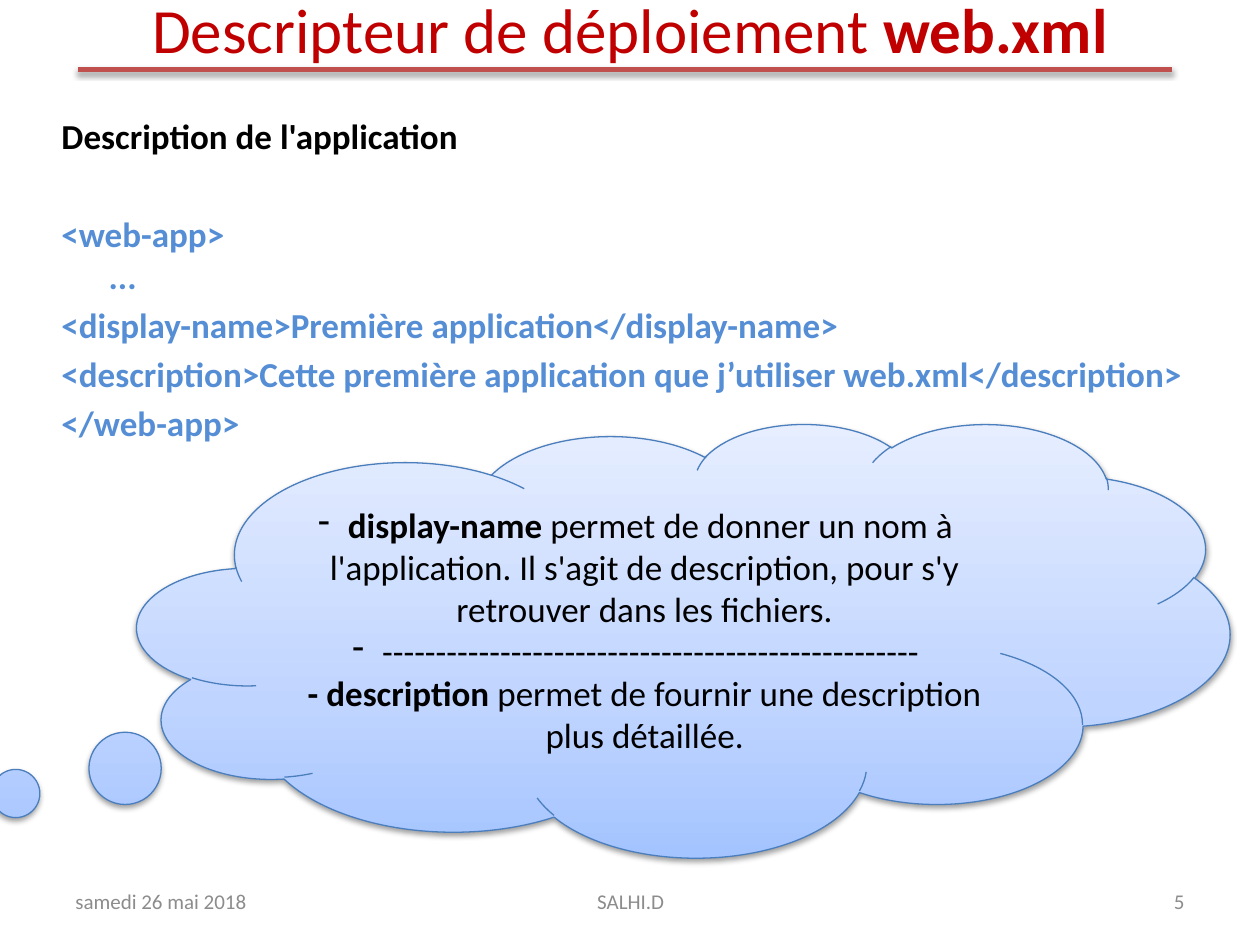
from copy import deepcopy
from dataclasses import dataclass

from lxml.etree import SubElement
from pptx import Presentation
from pptx.dml.color import RGBColor
from pptx.enum.shapes import MSO_CONNECTOR, MSO_SHAPE
from pptx.enum.text import MSO_ANCHOR, PP_ALIGN
from pptx.oxml.ns import qn
from pptx.util import Cm, Pt

FONT = "Calibri"
RED = RGBColor(0xC0, 0x00, 0x00)
RULE_RED = RGBColor(0xC0, 0x50, 0x4D)
GREY = RGBColor(0x8C, 0x8C, 0x8C)
BLACK = RGBColor(0x00, 0x00, 0x00)
CODE_BLUE = RGBColor(0x55, 0x8E, 0xD5)
CLOUD_EDGE = RGBColor(0x4B, 0x7E, 0xBC)
CLOUD_STOPS = [
    (0, RGBColor(0xA4, 0xC4, 0xFF)),
    (0.35, RGBColor(0xBF, 0xD4, 0xFF)),
    (1, RGBColor(0xE6, 0xEE, 0xFF)),
]


@dataclass
class Box:
    left: float
    top: float
    width: float
    height: float

    def lengths(self):
        return Cm(self.left), Cm(self.top), Cm(self.width), Cm(self.height)


@dataclass
class Line:
    spans: list[tuple[str, bool]]
    color: RGBColor = BLACK
    before: float = 0
    hanging: float = 0
    bullet: str = ""


def write(frame, lines: list[Line], *, size: float, align=PP_ALIGN.LEFT,
          anchor=MSO_ANCHOR.MIDDLE) -> None:
    frame.word_wrap = True
    frame.vertical_anchor = anchor
    for index, line in enumerate(lines):
        paragraph = frame.add_paragraph() if index else frame.paragraphs[0]
        paragraph.alignment = align
        paragraph.space_before = Pt(line.before)
        properties = paragraph._p.get_or_add_pPr()
        if line.hanging:
            properties.set("marL", str(Cm(line.hanging)))
            properties.set("indent", str(-Cm(line.hanging)))
        if line.bullet:
            SubElement(properties, qn("a:buFontTx"))
            SubElement(properties, qn("a:buChar"), char=line.bullet)
        for text, bold in line.spans:
            for row, piece in enumerate(text.split("\n")):
                if row:
                    paragraph.add_line_break()
                run = paragraph.add_run()
                run.text = piece
                run.font.name = FONT
                run.font.size = Pt(size)
                run.font.bold = bold
                run.font.color.rgb = line.color


def add_text(slide, box: Box, lines: list[Line], **text_format) -> None:
    write(slide.shapes.add_textbox(*box.lengths()).text_frame, lines, **text_format)


def add_shadow(properties, *, opacity: int, distance: float) -> None:
    effects = properties.find(qn("a:effectLst"))
    if effects is None:
        effects = SubElement(properties, qn("a:effectLst"))
    shadow = SubElement(effects, qn("a:outerShdw"), blurRad=str(Pt(3.1)),
                        dist=str(Pt(distance)), dir="5400000", rotWithShape="0")
    color = SubElement(shadow, qn("a:srgbClr"), val=str(BLACK))
    SubElement(color, qn("a:alpha"), val=str(opacity * 1000))


def add_title_rule(slide) -> None:
    rule = slide.shapes.add_connector(
        MSO_CONNECTOR.STRAIGHT, Cm(1.57), Cm(1.4), Cm(23.62), Cm(1.4))
    rule.line.color.rgb = RULE_RED
    rule.line.width = Pt(3)
    add_shadow(rule._element.spPr, opacity=35, distance=1.8)


def add_cloud(slide, box: Box, lines: list[Line]) -> None:
    cloud = slide.shapes.add_shape(MSO_SHAPE.CLOUD_CALLOUT, *box.lengths())
    cloud.adjustments[0] = -0.69
    cloud.adjustments[1] = 0.4
    cloud.fill.gradient()
    cloud.fill.gradient_angle = 90
    stop_list = cloud._element.spPr.find(qn("a:gradFill")).find(qn("a:gsLst"))
    stop_list.append(deepcopy(stop_list[0]))
    for stop, (position, color) in zip(cloud.fill.gradient_stops, CLOUD_STOPS):
        stop.position = position
        stop.color.rgb = color
    cloud.line.color.rgb = CLOUD_EDGE
    cloud.line.width = Pt(0.75)
    cloud.shadow.inherit = False
    add_shadow(cloud._element.spPr, opacity=38, distance=1.6)
    write(cloud.text_frame, lines, size=20, align=PP_ALIGN.CENTER)


def main() -> None:
    deck = Presentation()
    deck.slide_width, deck.slide_height = Cm(25.4), Cm(19.05)
    slide = deck.slides.add_slide(deck.slide_layouts[6])

    title = Line([("Descripteur de déploiement\u00a0", False), ("web.xml", True)], RED)
    add_text(slide, Box(1.27, -0.64, 22.86, 2.41), [title],
             size=36, align=PP_ALIGN.CENTER)

    footers = [
        ("samedi 26 mai 2018", 1.27, 5.92, PP_ALIGN.LEFT),
        ("SALHI.D", 8.69, 8.05, PP_ALIGN.CENTER),
        ("5", 18.21, 5.92, PP_ALIGN.RIGHT),
    ]
    for text, left, width, align in footers:
        add_text(slide, Box(left, 17.65, width, 1.02),
                 [Line([(text, False)], GREY)], size=12, align=align)

    add_title_rule(slide)

    code = [
        "<web-app>\n...",
        "<display-name>Première application</display-name>",
        "<description>Cette première application que j’utiliser web.xml</description>",
        "</web-app>",
    ]
    body = [Line([("Description de l'application", True)], before=4)]
    body += [Line([(text, True)], CODE_BLUE, before=4 if index else 32, hanging=0.95)
             for index, text in enumerate(code)]
    add_text(slide, Box(0.99, 2.18, 23.62, 11.91), body,
             size=20, anchor=MSO_ANCHOR.TOP)

    add_cloud(slide, Box(2.77, 8.53, 22.02, 8.74), [
        Line([("display-name", True),
              ("\u00a0permet de donner un nom à l'application. Il s'agit de description, "
               "pour s'y retrouver dans les fichiers.", False)], bullet="-"),
        Line([("-" * 50, False)], bullet="-"),
        Line([("- description", True),
              ("\u00a0permet de fournir une description plus détaillée.", False)]),
    ])

    deck.save("out.pptx")


if __name__ == "__main__":
    main()
